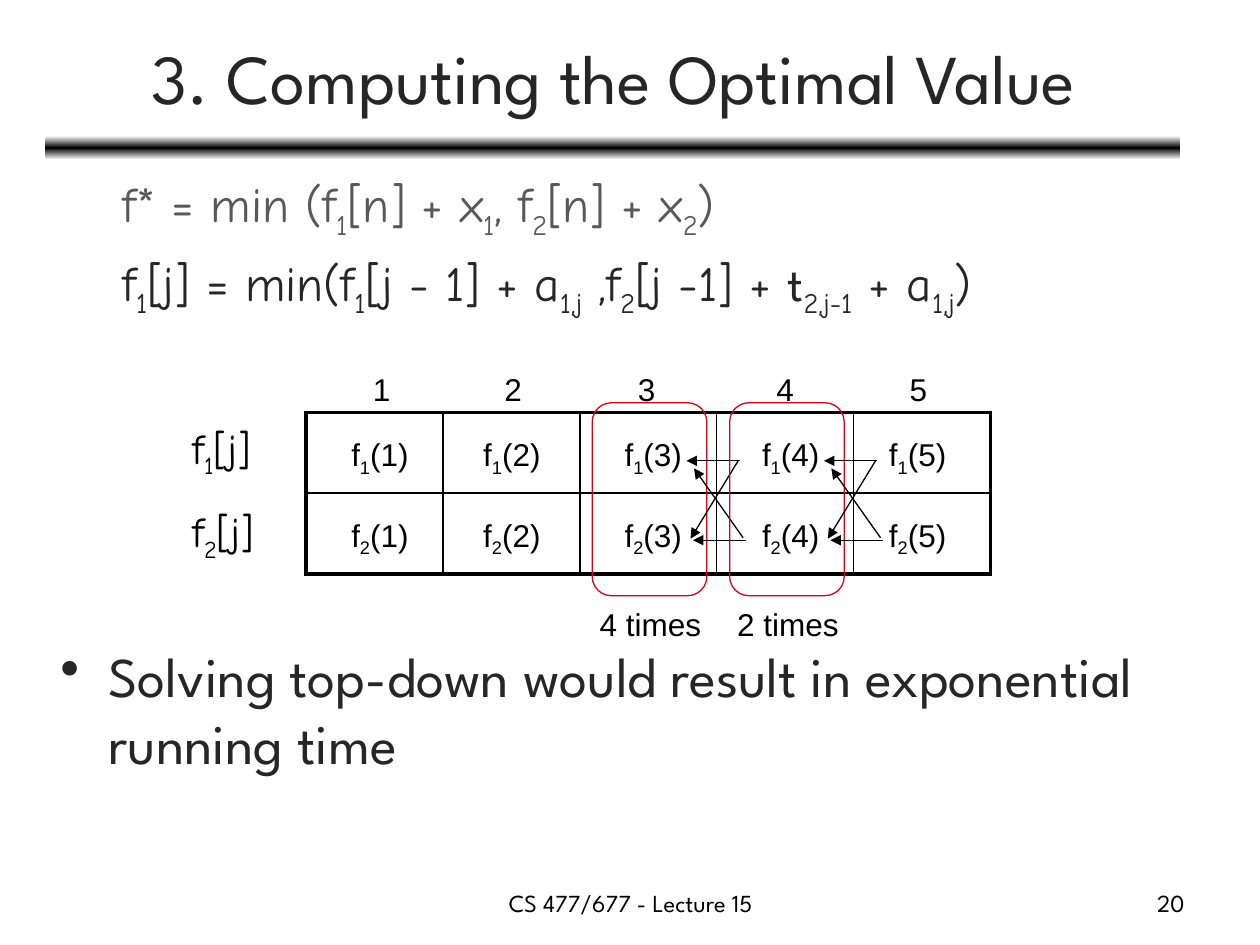
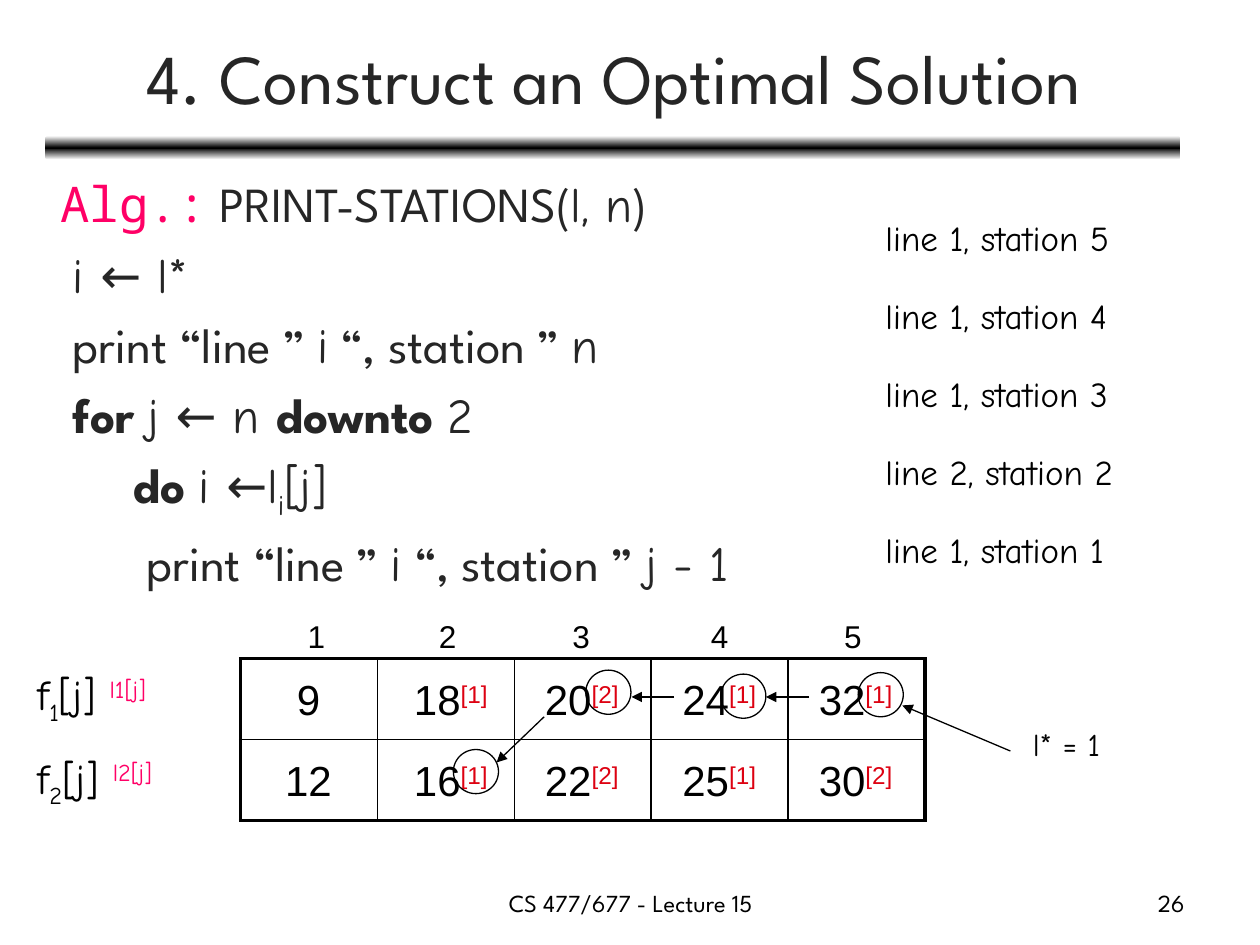
from copy import deepcopy
from dataclasses import dataclass

from lxml import etree
from pptx import Presentation
from pptx.dml.color import RGBColor
from pptx.enum.shapes import MSO_CONNECTOR, MSO_SHAPE
from pptx.enum.text import MSO_ANCHOR, PP_ALIGN
from pptx.oxml.ns import qn
from pptx.util import Cm, Pt

LEFT, CENTER, RIGHT = PP_ALIGN.LEFT, PP_ALIGN.CENTER, PP_ALIGN.RIGHT
TOP, MIDDLE = MSO_ANCHOR.TOP, MSO_ANCHOR.MIDDLE
ROUNDED, OVAL = MSO_SHAPE.ROUNDED_RECTANGLE, MSO_SHAPE.OVAL
STRAIGHT = MSO_CONNECTOR.STRAIGHT


@dataclass(frozen=True)
class Theme:
    heading: str = "League Spartan"
    formula: str = "Comic Neue"
    mono: str = "Noto Sans Mono"
    plain: str = "Arial"
    black: str = "000000"
    white: str = "FFFFFF"
    ink: str = "262626"
    grey: str = "595959"
    pink: str = "FF0066"
    red: str = "DD0111"
    title: int = 40
    bullet: int = 32
    body: int = 28
    value: int = 24
    step: int = 20
    small: int = 18
    footer: int = 14
    thin: float = 0.75
    inner: float = 1
    outer: float = 2.25


T = Theme()
SUB, SUPER = -25, 30
COLS, ROWS = 5, 2
COL_W, ROW_H = 2.76, 1.63
HEAD_LEFTS = (1.1, 3.75, 6.44, 9.23, 11.92)


def rgb(color):
    return RGBColor.from_string(color)


def subs(text, **fmt):
    """Split text at each bar; every second part becomes a subscript run."""
    return [(part, dict(fmt, base=SUB if i % 2 else 0))
            for i, part in enumerate(text.split("|"))]


def add_run(p, text, font, size, color, bold=False, base=0):
    r = p.add_run()
    r.text = text
    r.font.name, r.font.size, r.font.bold = font, Pt(size), bold
    r.font.color.rgb = rgb(color)
    if base:
        r._r.get_or_add_rPr().set("baseline", str(base * 1000))


def add_text(s, content, left, top, width, height, *, font=T.plain, size=T.small,
             color=T.black, align=LEFT, anchor=TOP, wrap=True, before=0,
             indents=(), bullet=False):
    """Content is a string or a list of paragraphs, each a list of (text, format) runs."""
    tf = s.shapes.add_textbox(Cm(left), Cm(top), Cm(width), Cm(height)).text_frame
    tf.word_wrap, tf.vertical_anchor = wrap, anchor
    paragraphs = [[(content, {})]] if isinstance(content, str) else content
    for i, runs in enumerate(paragraphs):
        p = tf.add_paragraph() if i else tf.paragraphs[0]
        p.alignment = align
        if i and before:
            p.space_before = Pt(before)
        pPr = p._p.get_or_add_pPr()
        if indents:
            pPr.set("marL", str(Cm(indents[i])))
        if bullet:
            pPr.set("indent", str(-Cm(indents[i])))
            etree.SubElement(pPr, qn("a:buChar")).set("char", "•")
        for text, fmt in runs:
            add_run(p, text, **{"font": font, "size": size, "color": color, **fmt})


def add_outline(s, kind, left, top, width, height, color):
    sp = s.shapes.add_shape(kind, Cm(left), Cm(top), Cm(width), Cm(height))
    sp.shadow.inherit = False
    sp.fill.background()
    sp.line.color.rgb = rgb(color)
    sp.line.width = Pt(T.thin)


def add_arrow(s, x1, y1, x2, y2):
    line = s.shapes.add_connector(STRAIGHT, Cm(x1), Cm(y1), Cm(x2), Cm(y2))
    line.line.color.rgb = rgb(T.black)
    line.line.width = Pt(T.thin)
    spPr = line._element.spPr
    etree.SubElement(spPr.find(qn("a:ln")), qn("a:tailEnd")).set("type", "triangle")
    etree.SubElement(spPr, qn("a:effectLst"))


def add_band(s, left, top, width, height):
    sp = s.shapes.add_shape(ROUNDED, Cm(left), Cm(top), Cm(width), Cm(height))
    sp.shadow.inherit = False
    sp.line.fill.background()
    sp.fill.gradient()
    sp.fill.gradient_angle = 90
    stops = sp._element.spPr.find(qn("a:gradFill")).find(qn("a:gsLst"))
    stops.append(deepcopy(stops[0]))
    colors = (T.white, T.black, T.white)
    for i, (stop, color) in enumerate(zip(sp.fill.gradient_stops, colors)):
        stop.position = i / 2
        stop.color.rgb = rgb(color)


def new_slide(prs, title, number):
    """Add a slide with the shared band, title and footer."""
    s = prs.slides.add_slide(prs.slide_layouts[6])
    add_band(s, 0.91, 2.74, 22.89, 0.48)
    add_text(s, title, 0.94, 0.28, 22.86, 2.51, font=T.heading, size=T.title,
             color=T.ink, align=CENTER, anchor=MIDDLE)
    footer = dict(font=T.heading, size=T.footer)
    add_text(s, "CS 477/677 - Lecture 15", 8.69, 17.78, 8.05, 0.89, align=CENTER, **footer)
    add_text(s, str(number), 18.21, 17.78, 5.92, 0.89, align=RIGHT, **footer)
    return s


def set_borders(cell, widths):
    tcPr = cell._tc.get_or_add_tcPr()
    for side, width in widths.items():
        ln = etree.SubElement(tcPr, qn(f"a:ln{side}"), w=str(Pt(width)))
        fill = etree.SubElement(ln, qn("a:solidFill"))
        etree.SubElement(fill, qn("a:srgbClr"), val=T.black)


def add_grid(s, left, top, row_labels, label_offset):
    """Draw the empty cost table with its column numbers and row labels."""
    table = s.shapes.add_table(ROWS, COLS, Cm(left), Cm(top),
                               Cm(COLS * COL_W), Cm(ROWS * ROW_H)).table
    table.first_row = table.horz_banding = False
    for column in table.columns:
        column.width = Cm(COL_W)
    for row in range(ROWS):
        table.rows[row].height = Cm(ROW_H)
        for col in range(COLS):
            edges = dict(L=col == 0, R=col == COLS - 1, T=row == 0, B=row == ROWS - 1)
            cell = table.cell(row, col)
            set_borders(cell, {side: T.outer if edge else T.inner
                               for side, edge in edges.items()})
            cell.fill.background()
    for i, offset in enumerate(HEAD_LEFTS, 1):
        add_text(s, str(i), left + offset, top - 0.97, 0.86, 1.02, wrap=False)
    for i, runs in enumerate(row_labels):
        add_text(s, [runs], left + label_offset, top + 0.08 + i * 1.68, 4.5, 1.27,
                 font=T.formula, size=T.value)


def add_values(s, left, top, rows, centers, size):
    """Centre one text on each table column; rows hold lists of runs."""
    width = 2.4
    for i, row in enumerate(rows):
        for center, runs in zip(centers, row):
            add_text(s, [runs], left + center - width / 2, top + i * ROW_H, width, 1.2,
                     size=size, align=CENTER)


def add_repeat_count(s, left, top, label):
    """Frame one column, count its evaluations, and draw the calls that reach it."""
    add_outline(s, ROUNDED, left, top, 2.31, 3.89, T.red)
    add_text(s, label, left - 0.1, top + 3.95, 2.57, 1.02, wrap=False)
    x, y = left + 1.9, top + 1.17
    for x1, y1, x2, y2 in ((1.07, 0, 0, 0), (1.04, 0, 0.08, 1.57),
                           (1.14, 1.55, 0.15, 0.15), (1.19, 1.6, 0.13, 1.6)):
        add_arrow(s, x + x1, y + y1, x + x2, y + y2)


def add_trace(s, left, top):
    """Circle the chosen lines and link them from the last station back."""
    for x, y in ((12.45, 0.28), (9.68, 0.31), (6.96, 0.23), (4.29, 1.83)):
        add_outline(s, OVAL, left + x, top + y, 0.91, 0.89, T.black)
    for x1, y1, x2, y2 in ((15.52, 1.86, 13.34, 0.94), (11.46, 0.77, 10.59, 0.77),
                           (8.74, 0.77, 7.88, 0.77), (6.12, 1.17, 5.16, 2.09)):
        add_arrow(s, left + x1, top + y1, left + x2, top + y2)
    add_text(s, "l* = 1", left + 15.72, top + 1.22, 2.01, 1.02, font=T.formula, wrap=False)


def add_algorithm(s, left, top, width, height):
    name, bold = dict(font=T.formula), dict(bold=True)
    lines = [
        (0, [("Alg.:", dict(font=T.mono, color=T.pink)), (" PRINT-STATIONS(", {}),
             ("l, n", name), (")", {})]),
        (0.25, [("i ← l*", name)]),
        (0.25, [("print “line ” ", {}), ("i", name), (" “, station ” ", {}), ("n", name)]),
        (0.25, [("for ", bold), ("j ← n ", name), ("downto ", bold), ("2", name)]),
        (1.47, [("do ", bold), *subs("i ←l|i|[j]", **name)]),
        (1.73, [("print “line ” ", {}), ("i", name), (" “, station ” ", {}),
                ("j - 1", name)]),
    ]
    indents, paragraphs = zip(*lines)
    add_text(s, paragraphs, left, top, width, height, font=T.heading, size=T.body,
             color=T.ink, before=6.5, indents=indents)


def add_printed_lines(s, left, top, width, pitch):
    for i, (line, station) in enumerate(((1, 5), (1, 4), (1, 3), (2, 2), (1, 1))):
        add_text(s, f"line {line}, station {station}", left, top + i * pitch, width, 1.09,
                 font=T.formula, size=T.step)


def optimal_value_slide(prs):
    s = new_slide(prs, "3. Computing the Optimal Value", 20)
    recurrence = (subs("f|1|[j] = min(f|1|[j - 1] + a|1,j| ,f|2|[j -1] + ")
                  + [("t", dict(font=T.heading))] + subs("|2,j-1| + a|1,j|)"))
    add_text(s, [subs("f* = min (f|1|[n] + x|1|, f|2|[n] + x|2|)", color=T.grey), recurrence],
             0.97, 3.38, 24, 3.6, font=T.formula, size=T.body, color=T.ink,
             before=6.5, indents=(1.25, 1.25))
    add_text(s, [[("Solving top-down would result in exponential running time", {})]],
             0.97, 12.8, 24.03, 3, font=T.heading, size=T.bullet, color=T.ink,
             indents=(0.97,), bullet=True)

    left, top = 6.17, 8.31
    add_grid(s, left, top, [subs(f"f|{i}|[j]") for i in (1, 2)], -2.54)
    cells = [[subs(f"f|{i}|({j})") for j in range(1, COLS + 1)] for i in (1, 2)]
    add_values(s, left, top + 0.33, cells, (1.49, 4.15, 7, 9.77, 12.33), T.small)
    for i, label in enumerate(("4 times", "2 times")):
        add_repeat_count(s, left + 5.77 + i * 2.77, top - 0.19, label)


def optimal_solution_slide(prs):
    s = new_slide(prs, "4. Construct an Optimal Solution", 26)
    add_algorithm(s, 0.97, 3.38, 16.5, 9)
    add_printed_lines(s, 17.6, 4.24, 6.22, 1.57)

    left, top = 4.85, 13.28
    labels = [subs(f"f|{i}|[j] ") + [(f"l{i}[j]", dict(color=T.pink, base=SUPER))]
              for i in (1, 2)]
    add_grid(s, left, top, labels, -4.34)
    costs = (((9, ""), (18, "[1]"), (20, "[2]"), (24, "[1]"), (32, "[1]")),
             ((12, ""), (16, "[1]"), (22, "[2]"), (25, "[1]"), (30, "[2]")))
    cells = [[[(str(cost), {})] + ([(line, dict(color=T.red, base=SUPER))] if line else [])
              for cost, line in row] for row in costs]
    add_values(s, left, top + 0.18, cells, (1.37, 4.24, 6.88, 9.65, 12.4), T.value)
    add_trace(s, left, top)


def main():
    prs = Presentation()
    prs.slide_width, prs.slide_height = Cm(25.4), Cm(19.05)
    optimal_value_slide(prs)
    optimal_solution_slide(prs)
    prs.save("out.pptx")


if __name__ == "__main__":
    main()
